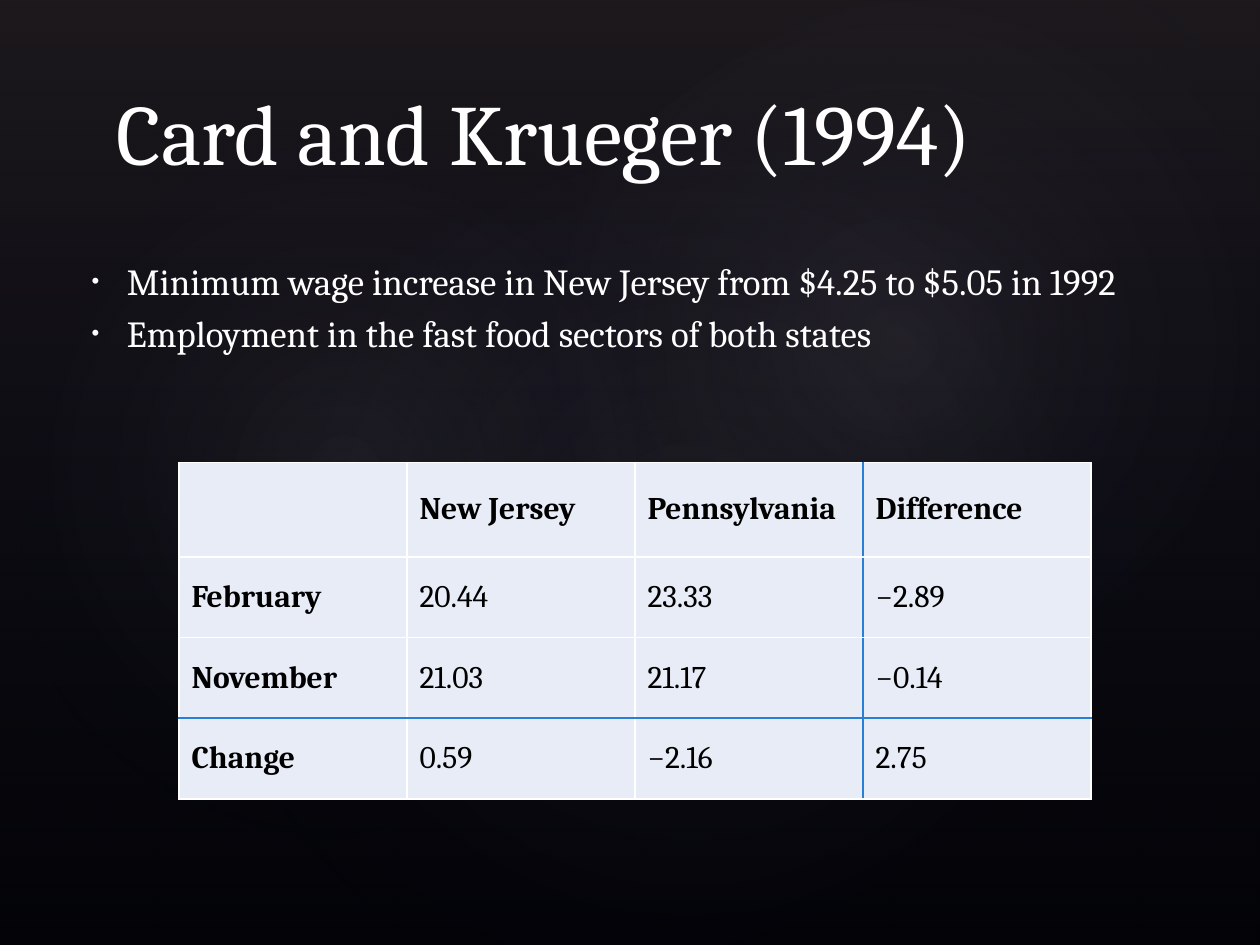
from lxml import etree
from pptx import Presentation
from pptx.dml.color import RGBColor
from pptx.enum.shapes import MSO_SHAPE
from pptx.enum.text import MSO_ANCHOR
from pptx.oxml import parse_xml
from pptx.oxml.ns import nsdecls, qn
from pptx.util import Inches, Pt

RECT, OVAL = MSO_SHAPE.RECTANGLE, MSO_SHAPE.OVAL
MIDDLE, BOTTOM = MSO_ANCHOR.MIDDLE, MSO_ANCHOR.BOTTOM
FONT = "Cambria"
WHITE, BLACK, BLUE, PALE = "FFFFFF", "000000", "297FD5", "E8ECF7"
LINEAR = '<a:lin ang="5400000" scaled="0"/>'
RADIAL = '<a:path path="circle"><a:fillToRect l="50000" t="50000" r="50000" b="50000"/></a:path>'
GLOWS = [
    ((1.5, 1.14, 7.92, 6.24), 328.7, 7),
    ((-0.3, 1.28, 6.06, 4.9), 294.3, 8),
    ((3.58, 0.13, 7.09, 5.2), 328.7, 8),
]
BULLETS = [
    "Minimum wage increase in New Jersey from $4.25 to $5.05 in 1992",
    "Employment in the fast food sectors of both states",
]
ROWS = [
    ["", "New Jersey", "Pennsylvania", "Difference"],
    ["February", "20.44", "23.33", "−2.89"],
    ["November", "21.03", "21.17", "−0.14"],
    ["Change", "0.59", "−2.16", "2.75"],
]


def rgb(value):
    """Return the colour for a hex string."""
    return RGBColor.from_string(value)


def inches(box):
    """Return a box of inch values as lengths."""
    return [Inches(v) for v in box]


def add_run(p, text, size, color, bold=False):
    """Add a formatted run to a paragraph."""
    r = p.add_run()
    r.text = text
    for name, value in {"name": FONT, "size": Pt(size), "bold": bold}.items():
        setattr(r.font, name, value)
    r.font.color.rgb = rgb(color)


def add_gradient(s, kind, box, stops, direction, rotation=0):
    """Add a borderless shape with a translucent gradient."""
    sp = s.shapes.add_shape(kind, *inches(box))
    sp.rotation = rotation
    sp.shadow.inherit = False
    sp.line.fill.background()
    gs = "".join(
        f'<a:gs pos="{pos * 1000}"><a:srgbClr val="{color}">'
        f'<a:alpha val="{alpha * 1000}"/></a:srgbClr></a:gs>'
        for pos, color, alpha in stops
    )
    fill = parse_xml(
        f'<a:gradFill {nsdecls("a")} rotWithShape="1"><a:gsLst>{gs}</a:gsLst>{direction}</a:gradFill>'
    )
    sp._element.spPr.find(qn("a:prstGeom")).addnext(fill)


def add_backdrop(s, box):
    """Paint the dark background with its soft glows."""
    s.background.fill.solid()
    s.background.fill.fore_color.rgb = rgb(BLACK)
    add_gradient(s, RECT, box, [(0, "504652", 36), (100, "242852", 10)], LINEAR)
    left, top = box[:2]
    for (x, y, w, h), rotation, alpha in GLOWS:
        stops = [(0, "C4BCC6", alpha), (58, "242852", 0)]
        add_gradient(s, OVAL, (left + x, top + y, w, h), stops, RADIAL, rotation)


def add_text_frame(s, box, anchor):
    """Add a wrapping text box and return its frame."""
    tf = s.shapes.add_textbox(*inches(box)).text_frame
    tf.word_wrap = True
    tf.vertical_anchor = anchor
    return tf


def add_title(s, box):
    """Add the slide title."""
    tf = add_text_frame(s, box, BOTTOM)
    add_run(tf.paragraphs[0], "Card and Krueger (1994)", 49, WHITE)


def add_bullets(s, box):
    """Add the bulleted statements."""
    tf = add_text_frame(s, box, MIDDLE)
    tf.margin_bottom = Inches(0.46)
    for i, text in enumerate(BULLETS):
        p = tf.add_paragraph() if i else tf.paragraphs[0]
        p.space_before = Pt(4.2)
        pPr = p._p.get_or_add_pPr()
        pPr.set("marL", str(Inches(0.3)))
        pPr.set("indent", str(Inches(-0.28)))
        etree.SubElement(pPr, qn("a:buSzPct"), val="60000")
        etree.SubElement(pPr, qn("a:buFont"), typeface="Arial")
        etree.SubElement(pPr, qn("a:buChar"), char="•")
        add_run(p, text, 21, WHITE)


def set_borders(cell, colors):
    """Draw one-point borders on the sides given by letter."""
    tcPr = cell._tc.get_or_add_tcPr()
    for i, (side, color) in enumerate(colors.items()):
        tcPr.insert(i, parse_xml(
            f'<a:ln{side} {nsdecls("a")} w="{Pt(1)}"><a:solidFill>'
            f'<a:srgbClr val="{color}"/></a:solidFill></a:ln{side}>'
        ))


def add_employment_table(s, box):
    """Add the employment table with rules before its last row and column."""
    n_rows, n_cols = len(ROWS), len(ROWS[0])
    table = s.shapes.add_table(n_rows, n_cols, *inches(box)).table
    for col in table.columns:
        col.width = Inches(box[2] / n_cols)
    header = 0.75
    for i, row in enumerate(table.rows):
        row.height = Inches((box[3] - header) / (n_rows - 1) if i else header)
    for i, texts in enumerate(ROWS):
        for j, text in enumerate(texts):
            cell = table.cell(i, j)
            cell.vertical_anchor = MIDDLE
            cell.fill.solid()
            cell.fill.fore_color.rgb = rgb(PALE)
            set_borders(cell, {
                "L": BLUE if j == n_cols - 1 else WHITE,
                "R": BLUE if j == n_cols - 2 else WHITE,
                "T": BLUE if i == n_rows - 1 else WHITE,
                "B": BLUE if i == n_rows - 2 else WHITE,
            })
            if text:
                add_run(cell.text_frame.paragraphs[0], text, 18, BLACK, i == 0 or j == 0)


def main():
    """Build and save the slide."""
    prs = Presentation()
    prs.slide_width, prs.slide_height = Inches(10), Inches(7.5)
    s = prs.slides.add_slide(prs.slide_layouts[6])
    add_backdrop(s, (0, 0, 10, 7.5))
    add_employment_table(s, (1.42, 3.67, 7.24, 2.67))
    add_title(s, (0.83, 0.5, 8.25, 1))
    add_bullets(s, (0.61, 1.7, 9.83, 1.88))
    prs.save("out.pptx")


if __name__ == "__main__":
    main()
